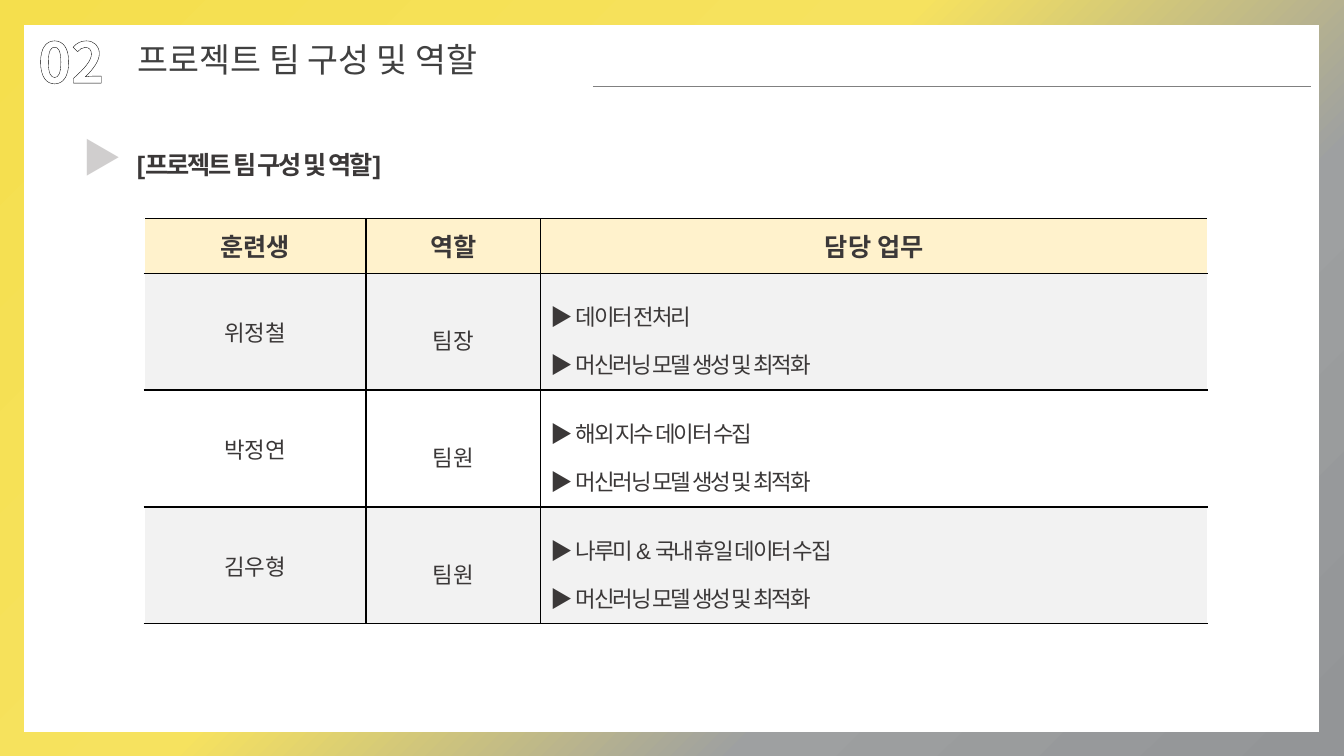
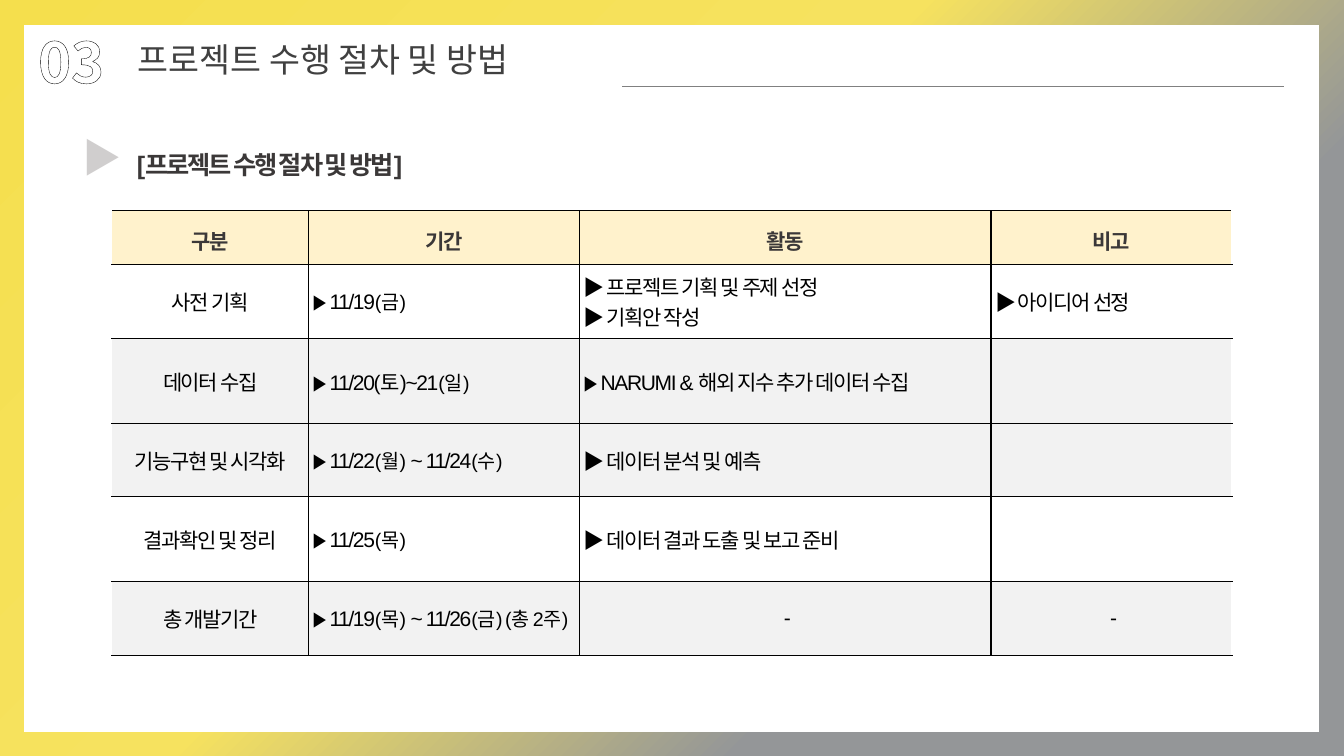
from lxml import etree
from pptx import Presentation
from pptx import util as u
from pptx.dml.color import RGBColor
from pptx.enum import dml, shapes, text
from pptx.oxml import ns

YELLOW = RGBColor(0xF5, 0xDF, 0x4D)
PALE_YELLOW = RGBColor(0xF6, 0xE2, 0x5F)
SILVER = RGBColor(0x9E, 0xA0, 0xA1)
STEEL = RGBColor(0x94, 0x96, 0x98)
GRAY = RGBColor(0x93, 0x95, 0x97)
LIGHT_GRAY = RGBColor(0xD0, 0xCE, 0xCE)
RULE_GRAY = RGBColor(0x80, 0x80, 0x80)
TITLE_GRAY = RGBColor(0x40, 0x40, 0x40)
DARK = RGBColor(0x3B, 0x38, 0x38)
CREAM = RGBColor(0xFF, 0xF2, 0xCC)
STRIPE = RGBColor(0xF2, 0xF2, 0xF2)
WHITE = RGBColor(0xFF, 0xFF, 0xFF)
BLACK = RGBColor(0, 0, 0)

KOREAN = "Noto Sans CJK KR"
MARK = "▶"

NUMBER_FONT = {"size": u.Pt(40), "bold": True, "name": KOREAN}
TITLE_FONT = {"size": u.Pt(24), "name": KOREAN}
HEADING_FONT = {"size": u.Pt(18), "bold": True, "name": "Arial"}
MARK_FONT = {"size": u.Pt(28), "bold": True, "name": KOREAN}

TEAM_TABLE = {
    "box": (1.43, 2.17),
    "columns": (2.2, 1.73, 6.62),
    "rows": (0.54, 1.16, 1.16, 1.16),
    "fills": (CREAM, STRIPE, WHITE, STRIPE),
    "margins": (0.1, 0.05, 0.1, 0.05),
    "body_margins": (0.1, 0.05, 0.1, 0.05),
    "header_font": {"size": u.Pt(18), "bold": True, "name": "Calibri"},
    "header_para": {},
    "header_gap": 0,
    "label_font": {"size": u.Pt(16), "bold": False, "name": "Calibri"},
    "label_para": {},
    "label_gap": 0,
    "body_font": {"size": u.Pt(16), "bold": False, "name": "Arial"},
    "mark_font": {"size": u.Pt(16), "bold": False, "name": KOREAN},
    "single_para": {"line_spacing": 1.5},
    "several_para": {"line_spacing": 1.5},
    "body_gap": -150,
    "small": u.Pt(16),
    "colour": DARK,
    "cells": (
        ("훈련생", "역할", "담당 업무"),
        ("위정철", "팀장", "▶ 데이터 전처리\n▶ 머신러닝 모델 생성 및 최적화"),
        ("박정연", "팀원", "▶ 해외 지수 데이터 수집\n▶ 머신러닝 모델 생성 및 최적화"),
        ("김우형", "팀원", "▶ 나루미 & 국내 휴일 데이터 수집\n▶ 머신러닝 모델 생성 및 최적화"),
    ),
}

SCHEDULE_TABLE = {
    "box": (1.11, 2.09),
    "columns": (1.95, 2.69, 4.08, 2.39),
    "rows": (0.53, 0.74, 0.84, 0.73, 0.84, 0.73),
    "fills": (CREAM, WHITE, STRIPE, STRIPE, WHITE, STRIPE),
    "margins": (0.09, 0.05, 0.09, 0.05),
    "body_margins": (0.04, 0, 0, 0),
    "header_font": {"size": u.Pt(15), "bold": True, "name": "Calibri"},
    "header_para": {"line_spacing": 1.2},
    "header_gap": -100,
    "label_font": {"size": u.Pt(15), "bold": False, "name": "Arial"},
    "label_para": {"space_before": u.Pt(6)},
    "label_gap": -100,
    "body_font": {"size": u.Pt(15), "bold": False, "name": "Arial"},
    "mark_font": {"size": u.Pt(15), "bold": False, "name": "Arial"},
    "single_para": {"space_before": u.Pt(6)},
    "several_para": {},
    "body_gap": -100,
    "small": u.Pt(14),
    "colour": BLACK,
    "cells": (
        ("구분", "기간", "활동", "비고"),
        ("사전 기획", "▶ 11/19|(금)", "▶ 프로젝트 기획 및 주제 선정\n▶ 기획안 작성", "▶ 아이디어 선정"),
        ("데이터 수집", "▶ 11/20(토)~21|(일)", "▶ NARUMI & 해외 지수 추가 데이터 수집", ""),
        ("기능구현 및 시각화", "▶ 11/22|(월)| ~ 11/24|(수)", "▶ 데이터 분석 및 예측", ""),
        ("결과확인 및 정리", "▶ 11/25|(목)", "▶ 데이터 결과 도출 및 보고 준비", ""),
        ("총 개발기간", "▶ 11/19|(목)| ~ 11/26|(금) (총 2주)", "-", "-"),
    ),
}


def apply(target, formats):
    for key, value in formats.items():
        setattr(target, key, value)


def add_solid(parent, colour):
    solid = etree.SubElement(parent, ns.qn("a:solidFill"))
    etree.SubElement(solid, ns.qn("a:srgbClr")).set("val", str(colour))


def make_line(tag, colour, points):
    line = etree.Element(ns.qn(tag))
    line.set("w", str(u.Pt(points)))
    add_solid(line, colour)
    return line


def add_span(para, words, font, colour, gap=0, back=None, outline=None):
    span = para.add_run()
    span.text = words
    apply(span.font, font)
    if back is None:
        span.font.color.rgb = colour
    else:
        fill = span.font.fill
        fill.patterned()
        fill.pattern = dml.MSO_PATTERN.DARK_UPWARD_DIAGONAL
        fill.fore_color.rgb = colour
        fill.back_color.rgb = back
    props = span._r.get_or_add_rPr()
    if gap:
        props.set("spc", str(gap))
    if outline:
        props.insert(0, make_line("a:ln", *outline))
    etree.SubElement(props, ns.qn("a:ea")).set("typeface", KOREAN)


def add_label(page, box, words, font, colour, wrap=True, spacing=None, **extras):
    frame = page.shapes.add_textbox(*map(u.Inches, box)).text_frame
    apply(frame, {"word_wrap": wrap, "auto_size": text.MSO_AUTO_SIZE.SHAPE_TO_FIT_TEXT})
    para = frame.paragraphs[0]
    if spacing:
        para.line_spacing = spacing
    add_span(para, words, font, colour, **extras)


def paint_background(page, third):
    page.background.fill.gradient()
    gradient = page._element.find(".//" + ns.qn("a:gradFill"))
    gradient.find(ns.qn("a:lin")).set("ang", "2700000")
    stops = gradient.find(ns.qn("a:gsLst"))
    for stop in list(stops):
        stops.remove(stop)
    for place, colour, alpha in ((0, YELLOW, 100), (44, PALE_YELLOW, 70), (71, third, 70), (100, GRAY, 100)):
        stop = etree.SubElement(stops, ns.qn("a:gs"))
        stop.set("pos", str(place * 1000))
        value = etree.SubElement(stop, ns.qn("a:srgbClr"))
        value.set("val", str(colour))
        if alpha < 100:
            etree.SubElement(value, ns.qn("a:alpha")).set("val", str(alpha * 1000))


def add_panel(page, box):
    panel = page.shapes.add_shape(shapes.MSO_SHAPE.RECTANGLE, *map(u.Inches, box))
    panel.shadow.inherit = False
    panel.fill.solid()
    panel.fill.fore_color.rgb = WHITE
    panel.line.fill.background()


def add_rule(page, left, right, top):
    rule = page.shapes.add_connector(shapes.MSO_CONNECTOR.STRAIGHT, *map(u.Inches, (left, top, right, top)))
    rule.line.color.rgb = RULE_GRAY
    rule.line.width = u.Pt(1)
    etree.SubElement(rule._element.spPr, ns.qn("a:effectLst"))


def add_header(page, number, title, title_width, rule_ends):
    add_label(page, (0.28, 0.22, 1.27, 0.77), number, NUMBER_FONT, DARK, back=WHITE, outline=(BLACK, 1.25))
    add_label(page, (1.27, 0.34, title_width, 0.5), title, TITLE_FONT, TITLE_GRAY, wrap=False)
    add_rule(page, *rule_ends, 0.86)


def add_heading(page, title):
    add_label(page, (0.72, 1.27, 0.55, 0.57), MARK, MARK_FONT, GRAY, back=LIGHT_GRAY, outline=(GRAY, 1))
    add_label(page, (1.26, 1.28, 11.36, 0.5), f"[{title}]", HEADING_FONT, DARK, spacing=1.5, gap=-150)


def draw_borders(cell, row, column, last_column):
    sides = [("a:lnT", 1 if row else 0.75), ("a:lnB", 1)]
    if column < last_column:
        sides.insert(0, ("a:lnR", 1))
    if column > 0:
        sides.insert(0, ("a:lnL", 1))
    props = cell._tc.get_or_add_tcPr()
    for place, (tag, points) in enumerate(sides):
        props.insert(place, make_line(tag, BLACK, points))


def fill_plain(cell, words, font, para_formats, gap, colour):
    para = cell.text_frame.paragraphs[0]
    para.alignment = text.PP_ALIGN.CENTER
    apply(para, para_formats)
    add_span(para, words, font, colour, gap)


def fill_tasks(cell, words, design):
    lines = words.split("\n")
    formats = design["single_para"] if len(lines) == 1 else design["several_para"]
    frame = cell.text_frame
    for index, line in enumerate(lines):
        para = frame.add_paragraph() if index else frame.paragraphs[0]
        para.alignment = text.PP_ALIGN.LEFT
        apply(para, formats)
        add_span(para, MARK + " ", design["mark_font"], design["colour"], design["body_gap"], outline=(GRAY, 1))
        for part, piece in enumerate(line[2:].split("|")):
            font = dict(design["body_font"])
            if part % 2:
                font["size"] = design["small"]
            add_span(para, piece, font, design["colour"], design["body_gap"])


def fill_cell(cell, words, row, column, design):
    tight = row and column
    margins = design["body_margins" if tight else "margins"]
    sides = ("margin_left", "margin_top", "margin_right", "margin_bottom")
    apply(cell, dict(zip(sides, map(u.Inches, margins))))
    cell.vertical_anchor = text.MSO_ANCHOR.MIDDLE
    cell.fill.solid()
    cell.fill.fore_color.rgb = design["fills"][row]
    draw_borders(cell, row, column, len(design["columns"]) - 1)
    if words.startswith(MARK):
        fill_tasks(cell, words, design)
    elif words:
        kind = "label" if row else "header"
        formats = design["single_para"] if tight else design[kind + "_para"]
        colour = design["colour"] if row else DARK
        fill_plain(cell, words, design[kind + "_font"], formats, design[kind + "_gap"], colour)


def add_grid(page, design):
    columns, rows = design["columns"], design["rows"]
    box = (*design["box"], sum(columns), sum(rows))
    table = page.shapes.add_table(len(rows), len(columns), *map(u.Inches, box)).table
    apply(table, {"first_row": False, "horz_banding": False})
    for column, width in zip(table.columns, columns):
        column.width = u.Inches(width)
    for row, height in zip(table.rows, rows):
        row.height = u.Inches(height)
    for row, line in enumerate(design["cells"]):
        for column, words in enumerate(line):
            fill_cell(table.cell(row, column), words, row, column, design)


def add_page(deck, number, title, title_width, rule_ends, third, design):
    page = deck.slides.add_slide(deck.slide_layouts[6])
    paint_background(page, third)
    add_panel(page, (0.24, 0.25, 12.84, 7.01))
    add_header(page, number, title, title_width, rule_ends)
    add_grid(page, design)
    add_heading(page, title)


def main():
    deck = Presentation()
    deck.slide_width = u.Inches(13.33)
    deck.slide_height = u.Inches(7.5)
    add_page(deck, "02", "프로젝트 팀 구성 및 역할", 4.24, (5.88, 13), SILVER, TEAM_TABLE)
    add_page(deck, "03", "프로젝트 수행 절차 및 방법", 4.58, (6.17, 12.74), STEEL, SCHEDULE_TABLE)
    deck.save("out.pptx")


if __name__ == "__main__":
    main()
